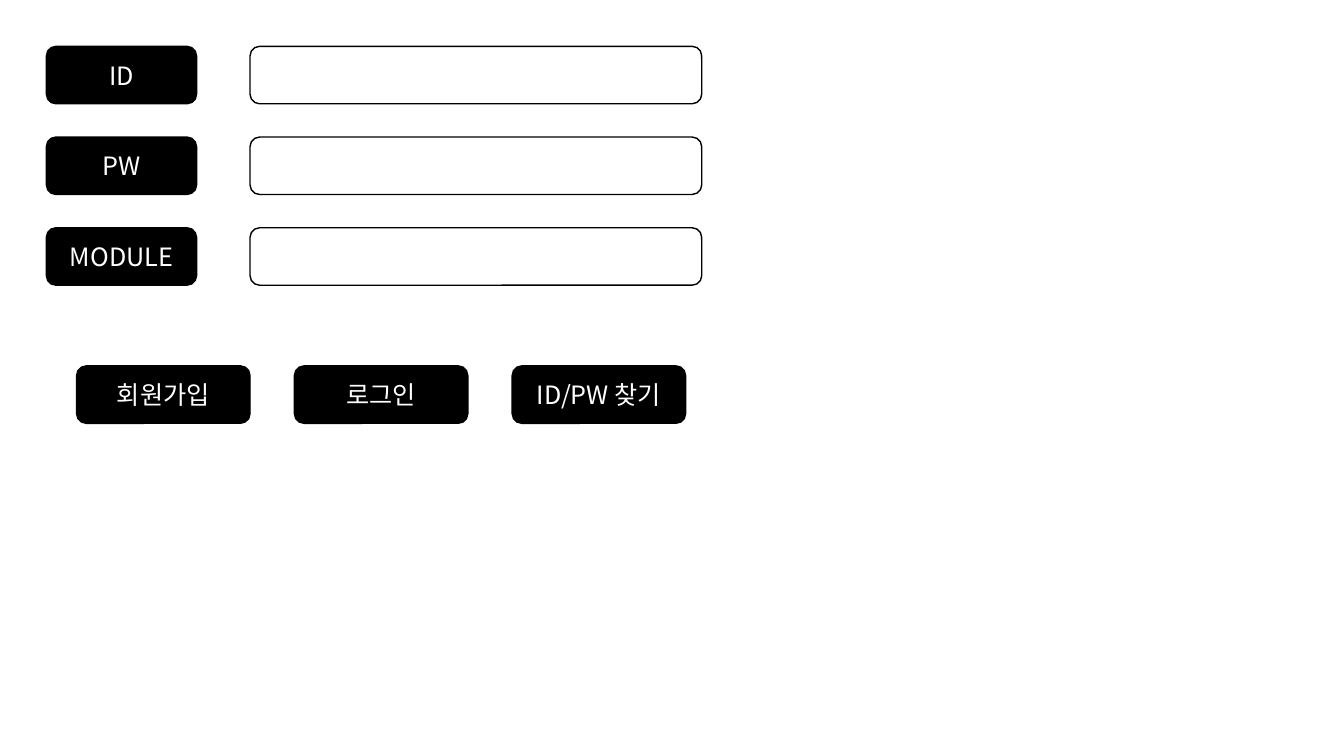
from lxml.etree import SubElement
from pptx import Presentation
from pptx.dml.color import RGBColor
from pptx.enum.shapes import MSO_SHAPE as SHAPE
from pptx.enum.text import MSO_ANCHOR as ANCHOR, PP_ALIGN as ALIGN
from pptx.oxml.ns import qn
from pptx.util import Inches, Pt

FONT = "Noto Sans CJK KR"
BLACK, WHITE = "000000", "FFFFFF"
BOX_HEIGHT = 0.57


def color(hex_code):
    return RGBColor.from_string(hex_code)


def add_box(left, top, width, fill, text=""):
    box = slide.shapes.add_shape(
        SHAPE.ROUNDED_RECTANGLE,
        Inches(left), Inches(top), Inches(width), Inches(BOX_HEIGHT))
    box.shadow.inherit = False
    box.fill.solid()
    box.fill.fore_color.rgb = color(fill)
    box.line.color.rgb = color(BLACK)
    box.line.width = Pt(1)
    if text:
        box.text_frame.vertical_anchor = ANCHOR.MIDDLE
        para = box.text_frame.paragraphs[0]
        para.alignment = ALIGN.CENTER
        span = para.add_run()
        span.text = text
        for font in (para.font, span.font):
            font.size = Pt(18)
            font.color.rgb = color(WHITE)
            font.name = FONT
        # Hangul takes its typeface from the East Asian font slot
        SubElement(span.font._element, qn("a:ea"), typeface=FONT)


deck = Presentation()
deck.slide_width, deck.slide_height = Inches(13.33), Inches(7.5)
slide = deck.slides.add_slide(deck.slide_layouts[6])

# Login fields: a label and an entry box on each row
row_tops = [0.46 + 0.9 * row for row in range(3)]
for top, label in zip(row_tops, ("ID", "PW", "MODULE")):
    add_box(0.46, top, 1.49, BLACK, label)
for top in row_tops:
    add_box(2.48, top, 4.48, WHITE)

# Buttons below the fields
for column, caption in enumerate(("회원가입", "로그인", "ID/PW 찾기")):
    add_box(0.76 + 2.16 * column, 3.63, 1.72, BLACK, caption)

deck.save("out.pptx")
